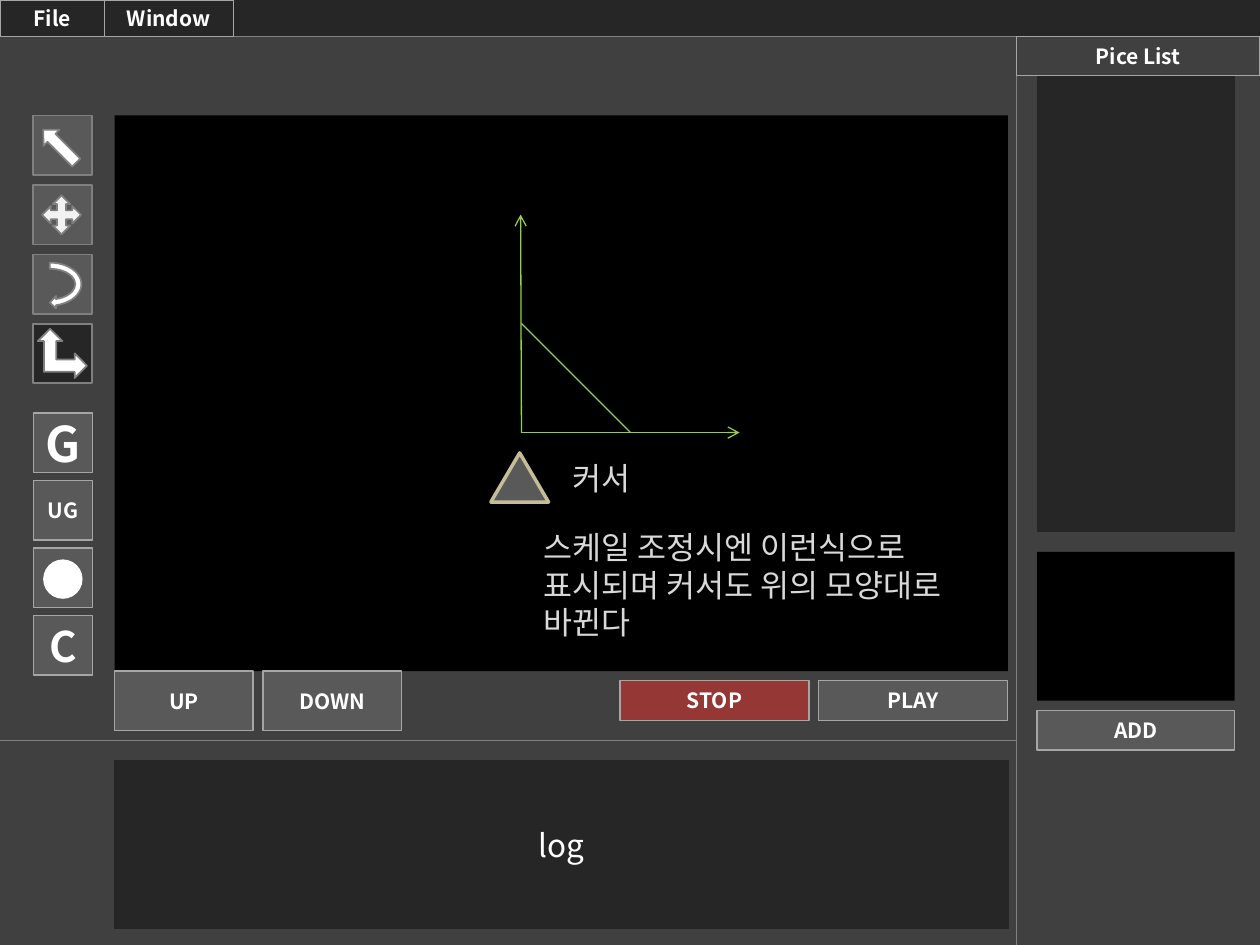
from lxml.etree import SubElement
from pptx import Presentation
from pptx.dml.color import RGBColor
from pptx.enum.shapes import MSO_CONNECTOR as Link, MSO_SHAPE as Kind
from pptx.enum.text import MSO_ANCHOR as Anchor, MSO_AUTO_SIZE as Fit, PP_ALIGN as Align
from pptx.oxml.ns import qn
from pptx.util import Pt

FONT = "Noto Sans CJK KR"
BLACK = RGBColor(0x00, 0x00, 0x00)
WHITE = RGBColor(0xFF, 0xFF, 0xFF)
DARK = RGBColor(0x26, 0x26, 0x26)
BASE = RGBColor(0x40, 0x40, 0x40)
FACE = RGBColor(0x59, 0x59, 0x59)
EDGE = RGBColor(0x80, 0x80, 0x80)
RIM = RGBColor(0xA6, 0xA6, 0xA6)
PALE = RGBColor(0xD9, 0xD9, 0xD9)
ICON = RGBColor(0xF2, 0xF2, 0xF2)
RED = RGBColor(0x95, 0x37, 0x35)
GREEN = RGBColor(0x92, 0xD0, 0x50)
SAND = RGBColor(0xC4, 0xBD, 0x97)

SIDE = 34
LEFT = 18.7
VIEW_X, VIEW_W = 65.5, 510.5
LIST_X, LIST_W = 592.6, 113
SPLIT = 581
BAR = 20.9


def add_box(shapes, box, fill, line=None, width=0.75, kind=Kind.RECTANGLE, turn=0):
    shape = shapes.add_shape(kind, *map(Pt, box))
    shape.shadow.inherit = False
    shape.rotation = turn
    shape.fill.solid()
    shape.fill.fore_color.rgb = fill
    if line is None:
        shape.line.fill.background()
    else:
        shape.line.color.rgb = line
        shape.line.width = Pt(width)
    return shape


def set_text(shape, text, size, color, bold=False, align=Align.LEFT):
    frame = shape.text_frame
    frame.text = text
    para = frame.paragraphs[0]
    para.alignment = align
    font = para.runs[0].font
    font.name = FONT
    font.size = Pt(size)
    font.bold = bold
    font.color.rgb = color
    SubElement(para.runs[0]._r.get_or_add_rPr(), qn("a:ea")).set("typeface", FONT)


def add_label(shapes, box, text, fill=FACE, line=RIM, width=0.75, size=12, bold=True):
    shape = add_box(shapes, box, fill, line, width)
    frame = shape.text_frame
    frame.margin_left = frame.margin_right = 0
    frame.margin_top = frame.margin_bottom = 0
    frame.vertical_anchor = Anchor.MIDDLE
    set_text(shape, text, size, WHITE, bold, Align.CENTER)


def add_note(shapes, box, text):
    shape = shapes.add_textbox(*map(Pt, box))
    shape.text_frame.word_wrap = True
    shape.text_frame.auto_size = Fit.SHAPE_TO_FIT_TEXT
    set_text(shape, text, 18, PALE)


def add_line(shapes, ends, color=EDGE, arrow=False):
    link = shapes.add_connector(Link.STRAIGHT, *map(Pt, ends))
    link.line.color.rgb = color
    link.line.width = Pt(0.75)
    if arrow:
        SubElement(link.line._get_or_add_ln(), qn("a:tailEnd")).set("type", "arrow")
    SubElement(link._element.spPr, qn("a:effectLst"))


def add_tools(shapes):
    tools = [
        (Kind.RIGHT_ARROW, 20.9, 77, 26.6, 13, 225, WHITE, FACE),
        (Kind.QUAD_ARROW, 24, 111.6, 22.3, 22.3, 0, ICON, FACE),
        (Kind.CIRCULAR_ARROW, 14.4, 142.6, 28.1, 39.6, 90, WHITE, FACE),
        (Kind.LEFT_UP_ARROW, 21.6, 187.9, 28.1, 28.1, 90, WHITE, DARK),
    ]
    for row, (kind, x, y, w, h, turn, fill, back) in enumerate(tools):
        group = shapes.add_group_shape().shapes
        add_box(group, (LEFT, 66 + row * 39.7, SIDE, SIDE), back, EDGE, 1)
        add_box(group, (x, y, w, h), fill, EDGE, 1, kind, turn)


def add_modes(shapes):
    for row, (text, size) in enumerate([("G", 28), ("UG", 12), ("", 0), ("C", 24)]):
        box = (LEFT + 0.3, 236 + row * 38.6, SIDE, SIDE)
        if text:
            add_label(shapes, box, text, size=size)
        else:
            add_box(shapes, box, FACE, RIM)
            add_box(shapes, (24.7, 319.7, 22.5, 22.5), WHITE,
                    kind=Kind.FLOWCHART_SUMMING_JUNCTION)


def add_panels(shapes):
    add_box(shapes, (0, 0, 720, BAR), DARK)
    add_line(shapes, (0, BAR, 720, BAR))
    add_box(shapes, (VIEW_X, 66, VIEW_W, 317.5), BLACK)
    add_box(shapes, (LIST_X, 315.4, LIST_W, 85), BLACK)
    add_box(shapes, (LIST_X, 43.2, LIST_W, 260.8), DARK, DARK, 0.5)
    add_line(shapes, (SPLIT, BAR, SPLIT, 540))
    add_line(shapes, (SPLIT, 423.2, 0, 423.2))
    add_label(shapes, (VIEW_X, 434.5, VIEW_W, 96.3), "log", DARK, DARK, 0.5, 18, False)


def add_buttons(shapes):
    buttons = [
        ("File", 0, 0, 59.6, BAR, DARK),
        ("Window", 59.6, 0, 73.7, BAR, DARK),
        ("Pice List", SPLIT, BAR, 139, 22.4, BASE),
        ("ADD", LIST_X, 406, LIST_W, 22.6, FACE),
        ("STOP", 354.3, 389, 108, 22.6, RED),
        ("PLAY", 467.8, 389, 108, 22.6, FACE),
        ("UP", VIEW_X, 383.4, 79.2, SIDE, FACE),
        ("DOWN", 150.3, 383.4, 79.2, SIDE, FACE),
    ]
    for text, *box, fill in buttons:
        add_label(shapes, box, text, fill)


def add_scene(shapes):
    x, y, far = 298, 247.2, 124.6
    add_line(shapes, (x, y, x + far, y), GREEN, True)
    add_line(shapes, (x, y, x - 0.5, y - far), GREEN, True)
    add_line(shapes, (x, y - far / 2, x + far / 2, y), GREEN)
    add_box(shapes, (280.5, 258.8, 33, 28.1), FACE, SAND, 2, Kind.ISOSCELES_TRIANGLE)
    add_note(shapes, (320, 258.5, 108, 29), "커서")
    add_note(shapes, (303.3, 298, 260.6, 72.7),
             "스케일 조정시엔 이런식으로 표시되며 커서도 위의 모양대로 바뀐다")


def main():
    deck = Presentation()
    deck.slide_width, deck.slide_height = Pt(720), Pt(540)
    slide = deck.slides.add_slide(deck.slide_layouts[6])
    slide.background.fill.solid()
    slide.background.fill.fore_color.rgb = BASE
    for part in (add_panels, add_tools, add_modes, add_buttons, add_scene):
        part(slide.shapes)
    deck.save("out.pptx")


main()
